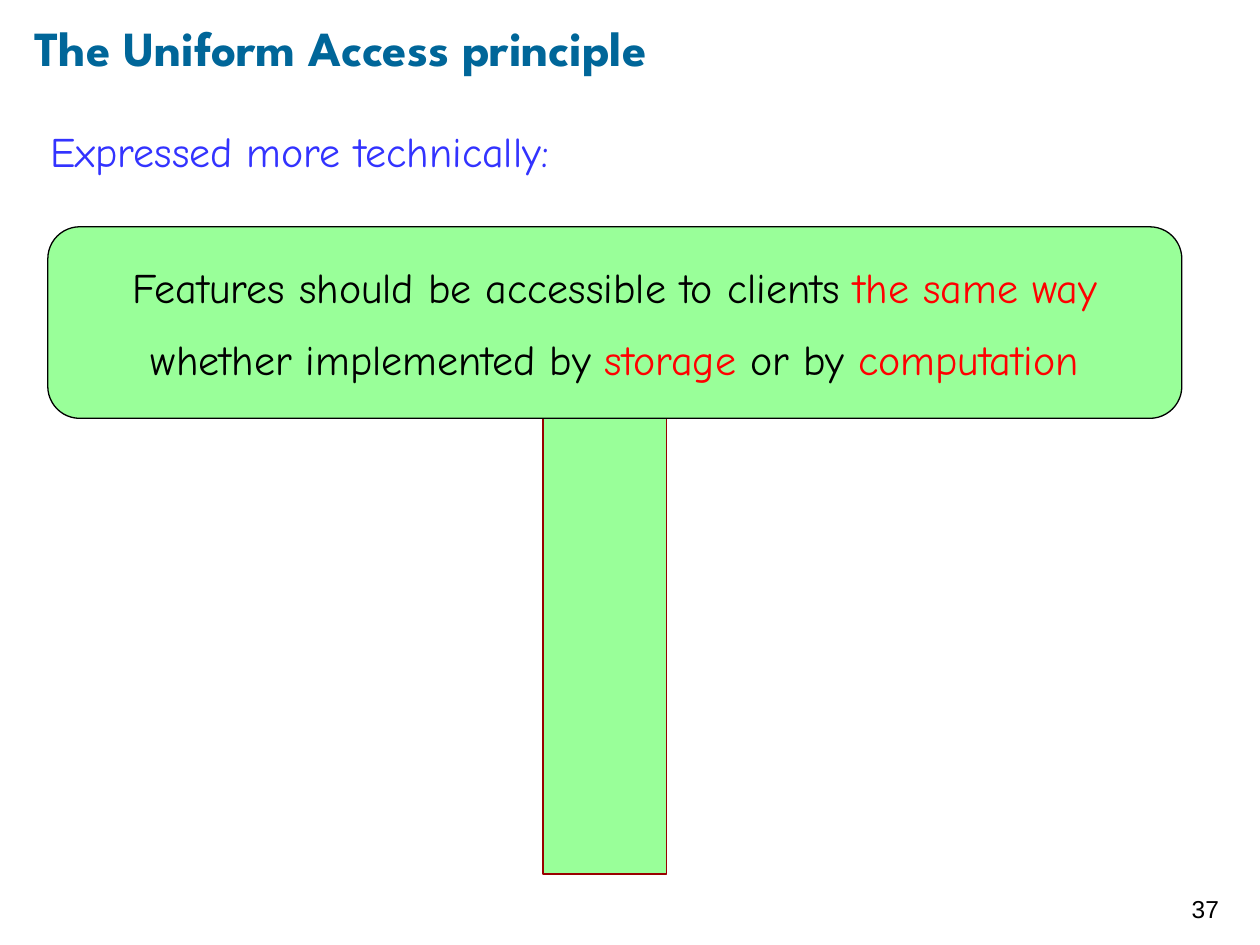
from dataclasses import dataclass

import pptx
import pptx.dml.color
import pptx.enum.shapes
import pptx.enum.text
import pptx.util

Inches = pptx.util.Inches
Pt = pptx.util.Pt
Align = pptx.enum.text.PP_ALIGN
Anchor = pptx.enum.text.MSO_ANCHOR
ShapeKind = pptx.enum.shapes.MSO_SHAPE

GREEN = "99FF99"
BLACK = "000000"
RED = "FF0000"


@dataclass
class Box:
    left: float
    top: float
    width: float
    height: float

    def lengths(self) -> list:
        return [Inches(n) for n in (self.left, self.top, self.width, self.height)]


@dataclass
class TextStyle:
    font: str
    size: int
    color: str = BLACK
    bold: bool = False
    align: Align = Align.LEFT
    anchor: Anchor = Anchor.MIDDLE
    margins: tuple = (0.1, 0.05)  # horizontal, vertical
    gap: int = 0  # space around every paragraph after the first


@dataclass
class Run:
    text: str
    color: str = ""


def rgb(color: str) -> pptx.dml.color.RGBColor:
    return pptx.dml.color.RGBColor.from_string(color)


def set_attributes(target, values: dict) -> None:
    for name, value in values.items():
        setattr(target, name, value)


def write_text(shape, paragraphs: list[list[Run]], style: TextStyle) -> None:
    frame = shape.text_frame
    horizontal, vertical = (Inches(margin) for margin in style.margins)
    set_attributes(frame, {
        "word_wrap": True,
        "auto_size": pptx.enum.text.MSO_AUTO_SIZE.NONE,
        "vertical_anchor": style.anchor,
        "margin_left": horizontal, "margin_right": horizontal,
        "margin_top": vertical, "margin_bottom": vertical,
    })
    for index, runs in enumerate(paragraphs):
        paragraph = frame.add_paragraph() if index else frame.paragraphs[0]
        paragraph.alignment = style.align
        if index and style.gap:
            paragraph.space_before = paragraph.space_after = Pt(style.gap)
        for item in runs:
            run = paragraph.add_run()
            run.text = item.text
            set_attributes(run.font, {
                "name": style.font, "size": Pt(style.size), "bold": style.bold,
            })
            run.font.color.rgb = rgb(item.color or style.color)


def add_panel(slide, kind: ShapeKind, box: Box, line_color: str, line_width: float):
    """Add a green shape with a thin outline."""
    shape = slide.shapes.add_shape(kind, *box.lengths())
    shape.shadow.inherit = False
    shape.fill.solid()
    shape.fill.fore_color.rgb = rgb(GREEN)
    shape.line.color.rgb = rgb(line_color)
    shape.line.width = Pt(line_width)
    return shape


def add_text(slide, box: Box, text: str, style: TextStyle) -> None:
    write_text(slide.shapes.add_textbox(*box.lengths()), [[Run(text)]], style)


def main() -> None:
    presentation = pptx.Presentation()
    presentation.slide_width, presentation.slide_height = Inches(10), Inches(7.5)
    slide = presentation.slides.add_slide(presentation.slide_layouts[5])

    title = slide.shapes.title
    left, top, width, height = Box(0.27, 0.13, 8.69, 0.48).lengths()
    set_attributes(title, {"left": left, "top": top, "width": width, "height": height})
    write_text(title, [[Run("The Uniform Access principle")]],
               TextStyle("League Spartan", 28, "006699", bold=True, margins=(0, 0)))

    add_panel(slide, ShapeKind.RECTANGLE, Box(4.31, 3.06, 0.98, 3.88), "990000", 1)
    principle = add_panel(slide, ShapeKind.ROUNDED_RECTANGLE,
                          Box(0.38, 1.8, 9, 1.52), BLACK, 0.75)
    write_text(principle, [
        [Run("Features should be accessible to clients "), Run("the same way", RED)],
        [Run("whether implemented by "), Run("storage", RED),
         Run(" or by "), Run("computation", RED)],
    ], TextStyle("Comic Neue", 24, align=Align.CENTER, margins=(0.1, 0), gap=12))

    add_text(slide, Box(0.3, 0.95, 8.41, 0.5), "Expressed more technically:",
             TextStyle("Comic Neue", 24, "3333FF", anchor=Anchor.TOP))
    add_text(slide, Box(9.36, 6.93, 0.6, 0.57), "37",
             TextStyle("Arial", 14, margins=(0.1, 0.1)))

    presentation.save("out.pptx")


if __name__ == "__main__":
    main()
